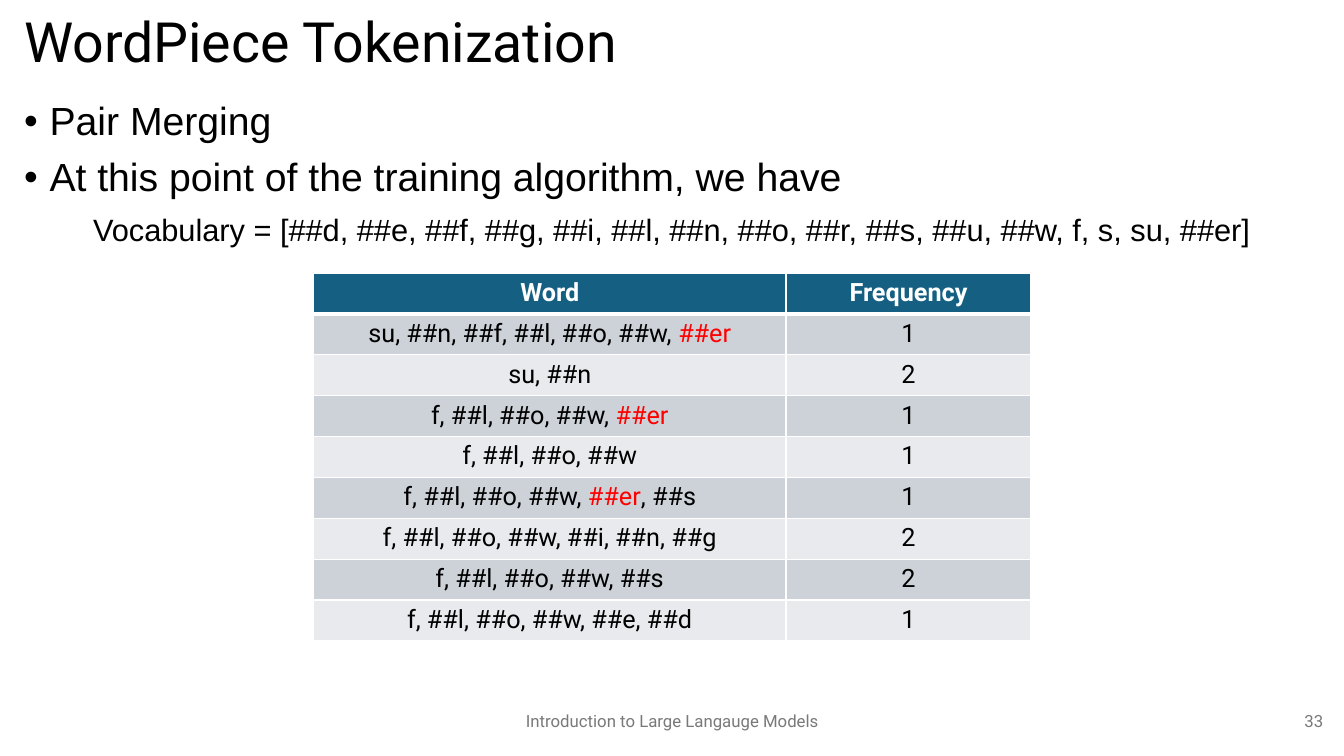
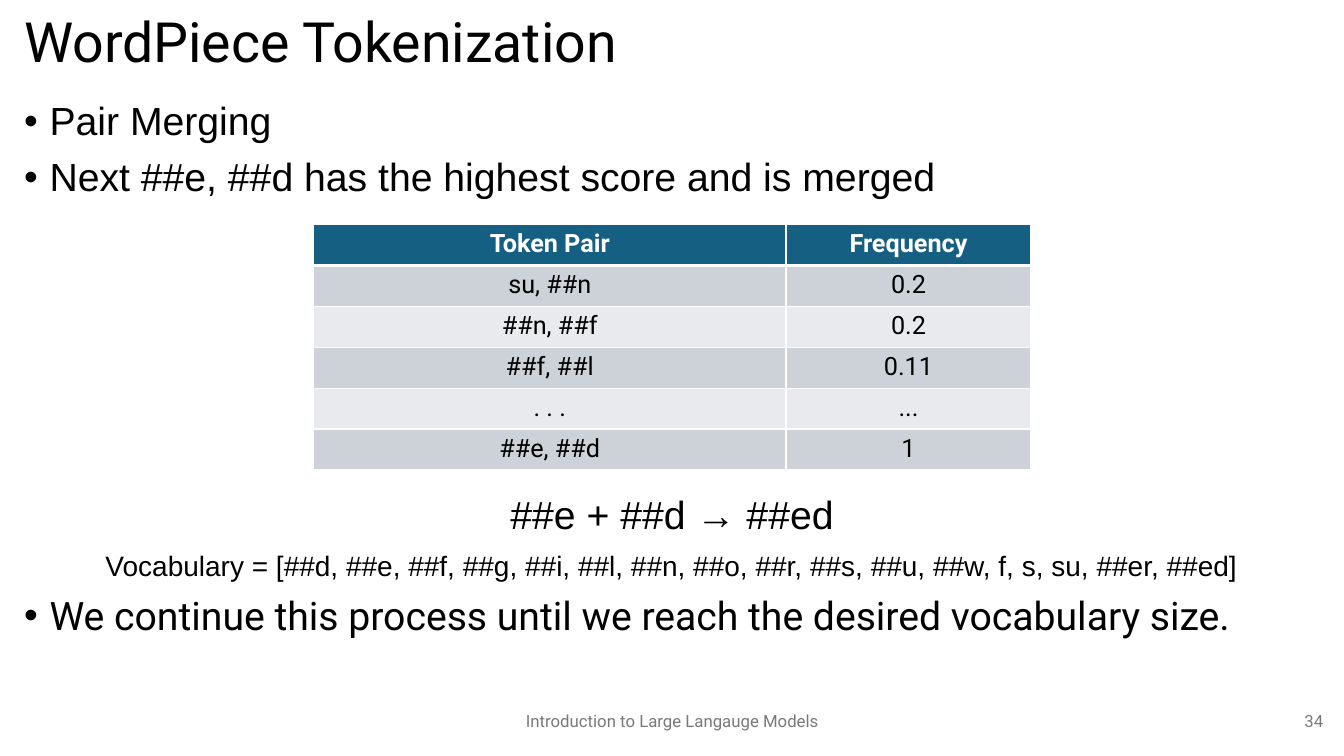
from dataclasses import dataclass

from lxml import etree
from pptx import Presentation
from pptx.dml.color import RGBColor
from pptx.enum.text import MSO_ANCHOR, PP_ALIGN
from pptx.oxml.ns import qn
from pptx.slide import Slide
from pptx.table import _Cell
from pptx.text.text import TextFrame, _Paragraph
from pptx.util import Cm, Pt

LEFT, CENTER, RIGHT = PP_ALIGN.LEFT, PP_ALIGN.CENTER, PP_ALIGN.RIGHT
TOP, MIDDLE = MSO_ANCHOR.TOP, MSO_ANCHOR.MIDDLE

COLORS = {
    "text": "000000",
    "footer": "797979",
    "header": "156082",
    "header_text": "FFFFFF",
    "odd_row": "CCD2D8",
    "even_row": "E8EAED",
    "border": "FFFFFF",
    "merged": "FF0000",
}
TITLE_FONT, BODY_FONT = "Roboto", "Arial"
MERGED_TOKEN = "##er"
FOOTER_TEXT = "Introduction to Large Langauge Models"

MARGIN, CONTENT_WIDTH = Cm(0.36), Cm(33.15)
BODY_TOP = Cm(2.44)
FOOTER_TOP, FOOTER_HEIGHT = Cm(17.65), Cm(1.02)
TABLE_LEFT, COLUMN_WIDTHS, ROW_HEIGHT = Cm(7.9), (Cm(11.91), Cm(6.17)), Cm(1.03)
BULLET_INDENT = Cm(0.64)


@dataclass(frozen=True)
class Line:
    text: str
    size: float = 28
    font: str = BODY_FONT
    color: str = "text"
    align: PP_ALIGN = LEFT
    bullet: bool = False


@dataclass(frozen=True)
class TextBlock:
    top: int
    height: int
    lines: tuple[Line, ...]


@dataclass(frozen=True)
class FrequencyTable:
    top: int
    rows: tuple[tuple[str, str], ...]


@dataclass(frozen=True)
class Page:
    number: int
    blocks: tuple[TextBlock, ...]
    table: FrequencyTable


PAGES = (
    Page(
        33,
        (
            TextBlock(BODY_TOP, Cm(4.3), (
                Line("Pair Merging", bullet=True),
                Line("At this point of the training algorithm, we have", bullet=True),
                Line("Vocabulary = [##d, ##e, ##f, ##g, ##i, ##l, ##n, ##o, ##r, ##s, "
                     "##u, ##w, f, s, su, ##er]", size=22, align=CENTER),
            )),
        ),
        FrequencyTable(Cm(6.88), (
            ("Word", "Frequency"),
            ("su, ##n, ##f, ##l, ##o, ##w, ##er", "1"),
            ("su, ##n", "2"),
            ("f, ##l, ##o, ##w, ##er", "1"),
            ("f, ##l, ##o, ##w", "1"),
            ("f, ##l, ##o, ##w, ##er, ##s", "1"),
            ("f, ##l, ##o, ##w, ##i, ##n, ##g", "2"),
            ("f, ##l, ##o, ##w, ##s", "2"),
            ("f, ##l, ##o, ##w, ##e, ##d", "1"),
        )),
    ),
    Page(
        34,
        (
            TextBlock(BODY_TOP, Cm(3), (
                Line("Pair Merging", bullet=True),
                Line("Next ##e, ##d has the highest score and is merged", bullet=True),
            )),
            TextBlock(Cm(12.37), Cm(4.5), (
                Line("##e + ##d → ##ed", align=CENTER),
                Line("Vocabulary = [##d, ##e, ##f, ##g, ##i, ##l, ##n, ##o, ##r, ##s, "
                     "##u, ##w, f, s, su, ##er, ##ed]", size=20, align=CENTER),
                Line("We continue this process until we reach the desired vocabulary size.",
                     font=TITLE_FONT, bullet=True),
            )),
        ),
        FrequencyTable(Cm(5.66), (
            ("Token Pair", "Frequency"),
            ("su, ##n", "0.2"),
            ("##n, ##f", "0.2"),
            ("##f, ##l", "0.11"),
            (". . .", "..."),
            ("##e, ##d", "1"),
        )),
    ),
)


def rgb(name: str) -> RGBColor:
    return RGBColor.from_string(COLORS[name])


def add_bullet(paragraph: _Paragraph) -> None:
    properties = paragraph._p.get_or_add_pPr()
    properties.set("marL", str(BULLET_INDENT))
    properties.set("indent", str(-BULLET_INDENT))
    font = etree.SubElement(properties, qn("a:buFont"))
    font.set("typeface", BODY_FONT)
    etree.SubElement(properties, qn("a:buChar")).set("char", "•")


def format_font(item, size: float, name: str, color: str, bold: bool = False) -> None:
    """Style the font of a run or of a whole paragraph."""
    item.font.size = Pt(size)
    item.font.name = name
    item.font.bold = bold
    item.font.color.rgb = rgb(color)


def write_lines(frame: TextFrame, lines: tuple[Line, ...], spacing: float) -> None:
    frame.text = "\n".join(line.text for line in lines)
    for index, (paragraph, line) in enumerate(zip(frame.paragraphs, lines)):
        paragraph.alignment = line.align
        paragraph.line_spacing = spacing
        if index:
            paragraph.space_before = Pt(10)
        if line.bullet:
            add_bullet(paragraph)
        for span in paragraph.runs:
            format_font(span, line.size, line.font, line.color)


def add_text(slide: Slide, left: int, top: int, width: int, height: int,
             lines: tuple[Line, ...], anchor: MSO_ANCHOR = MIDDLE,
             spacing: float = 0.9) -> None:
    frame = slide.shapes.add_textbox(left, top, width, height).text_frame
    frame.word_wrap = True
    frame.vertical_anchor = anchor
    write_lines(frame, lines, spacing)


def add_borders(cell: _Cell, bottom: float) -> None:
    """Draw thin borders around a cell, with its own width at the bottom."""
    properties = cell._tc.get_or_add_tcPr()
    for tag, width in (("lnL", 1), ("lnR", 1), ("lnT", 1), ("lnB", bottom)):
        border = etree.SubElement(properties, qn(f"a:{tag}"))
        border.set("w", str(Pt(width)))
        fill = etree.SubElement(border, qn("a:solidFill"))
        etree.SubElement(fill, qn("a:srgbClr")).set("val", COLORS["border"])


def write_cell(cell: _Cell, text: str, is_header: bool) -> None:
    """Write centred text, with the merged token in its own colour."""
    paragraph = cell.text_frame.paragraphs[0]
    paragraph.alignment = CENTER
    color = "header_text" if is_header else "text"
    for part in filter(None, text.partition(MERGED_TOKEN)):
        span = paragraph.add_run()
        span.text = part
        format_font(span, 18, TITLE_FONT,
                    "merged" if part == MERGED_TOKEN else color, is_header)


def add_frequency_table(slide: Slide, content: FrequencyTable) -> None:
    row_count = len(content.rows)
    table = slide.shapes.add_table(
        row_count, len(COLUMN_WIDTHS), TABLE_LEFT, content.top,
        sum(COLUMN_WIDTHS), ROW_HEIGHT * row_count).table
    for column, width in zip(table.columns, COLUMN_WIDTHS):
        column.width = width
    for row_index, texts in enumerate(content.rows):
        table.rows[row_index].height = ROW_HEIGHT
        is_header = row_index == 0
        band = "header" if is_header else ("even_row", "odd_row")[row_index % 2]
        for cell, text in zip(table.rows[row_index].cells, texts):
            add_borders(cell, 3 if is_header else 1)
            cell.fill.solid()
            cell.fill.fore_color.rgb = rgb(band)
            write_cell(cell, text, is_header)


def add_frame(slide: Slide, number: int) -> None:
    """Add the title, footer and page number that all pages share."""
    title = Line("WordPiece Tokenization", 39.6, TITLE_FONT)
    footer = Line(FOOTER_TEXT, 12, TITLE_FONT, "footer", CENTER)
    page_number = Line(str(number), 12, TITLE_FONT, "footer", RIGHT)
    add_text(slide, MARGIN, Cm(0.23), CONTENT_WIDTH, Cm(1.78), (title,))
    add_text(slide, Cm(11.23), FOOTER_TOP, Cm(11.43), FOOTER_HEIGHT, (footer,), spacing=1.0)
    add_text(slide, Cm(25.98), FOOTER_TOP, Cm(7.62), FOOTER_HEIGHT, (page_number,), spacing=1.0)


def main() -> None:
    deck = Presentation()
    deck.slide_width, deck.slide_height = Cm(33.87), Cm(19.05)
    blank_layout = deck.slide_layouts[6]
    for page in PAGES:
        slide = deck.slides.add_slide(blank_layout)
        add_frame(slide, page.number)
        for block in page.blocks:
            add_text(slide, MARGIN, block.top, CONTENT_WIDTH, block.height, block.lines, TOP)
        add_frequency_table(slide, page.table)
    deck.save("out.pptx")


if __name__ == "__main__":
    main()
